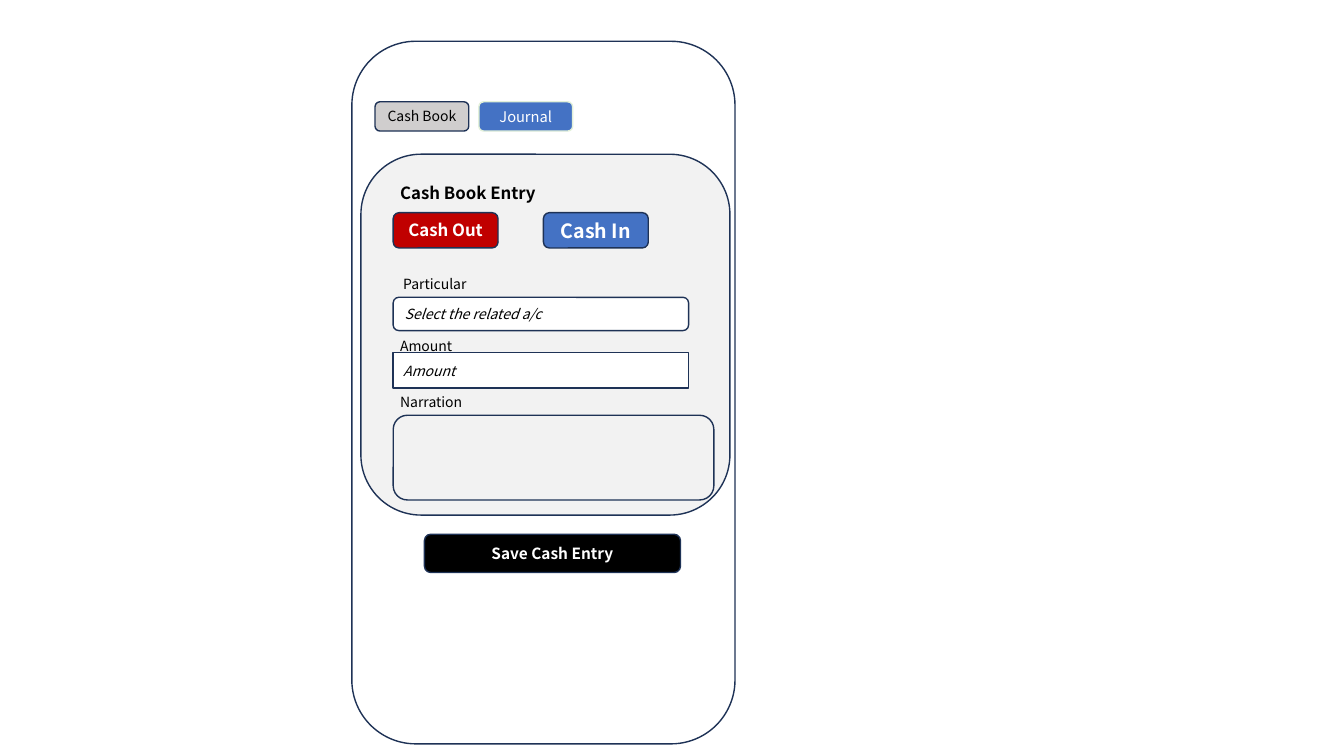
from pptx import Presentation
from pptx.dml.color import RGBColor
from pptx.enum.shapes import MSO_SHAPE as Shape
from pptx.enum.text import MSO_ANCHOR as Anchor, MSO_AUTO_SIZE as AutoSize, PP_ALIGN as Align
from pptx.util import Inches, Pt

NAVY = RGBColor(0x1E, 0x32, 0x56)
BLUE = RGBColor(0x44, 0x72, 0xC4)
RED = RGBColor(0xC0, 0x00, 0x00)
GREY = RGBColor(0xD0, 0xCE, 0xCE)
PALE_GREY = RGBColor(0xF2, 0xF2, 0xF2)
PALE_GREEN = RGBColor(0xE2, 0xF0, 0xD9)
BLACK = RGBColor(0x00, 0x00, 0x00)
WHITE = RGBColor(0xFF, 0xFF, 0xFF)


class Wireframe:
    font_name = "Noto Sans CJK JP"

    def __init__(self, slide):
        self.slide = slide

    def set_text(self, shape, text, size, color=BLACK, bold=False, italic=False, align=Align.LEFT):
        frame = shape.text_frame
        frame.word_wrap = True
        frame.text = text
        paragraph = frame.paragraphs[0]
        paragraph.alignment = align
        font = paragraph.runs[0].font
        font.name = self.font_name
        font.size = Pt(size)
        font.bold = bold
        font.italic = italic
        font.color.rgb = color

    def panel(self, left, top, width, height, fill=None, line=NAVY, kind=Shape.ROUNDED_RECTANGLE):
        shape = self.slide.shapes.add_shape(
            kind, Inches(left), Inches(top), Inches(width), Inches(height))
        shape.shadow.inherit = False
        if fill is None:
            shape.fill.background()
        else:
            shape.fill.solid()
            shape.fill.fore_color.rgb = fill
        shape.line.color.rgb = line
        shape.line.width = Pt(1)
        shape.text_frame.vertical_anchor = Anchor.MIDDLE
        return shape

    def button(self, text, left, top, width, height, fill, size, color=WHITE, bold=True, line=NAVY):
        shape = self.panel(left, top, width, height, fill, line)
        self.set_text(shape, text, size, color, bold, align=Align.CENTER)

    def field(self, text, top, height, kind):
        shape = self.panel(3.9, top, 2.93, height, WHITE, kind=kind)
        self.set_text(shape, text, 10, italic=True)

    def label(self, text, left, top, width=1.49, height=0.27, size=10, bold=False):
        box = self.slide.shapes.add_textbox(
            Inches(left), Inches(top), Inches(width), Inches(height))
        self.set_text(box, text, size, bold=bold)
        box.text_frame.auto_size = AutoSize.SHAPE_TO_FIT_TEXT


def main():
    presentation = Presentation()
    presentation.slide_width = Inches(13.33)
    presentation.slide_height = Inches(7.5)
    screen = Wireframe(presentation.slides.add_slide(presentation.slide_layouts[6]))

    screen.panel(3.49, 0.41, 3.8, 6.97)
    screen.button("Cash Book", 3.72, 1.01, 0.93, 0.29, GREY, 10, BLACK, bold=False)
    screen.button("Journal", 4.75, 1.01, 0.93, 0.29, BLUE, 10.5, bold=False, line=PALE_GREEN)

    screen.panel(3.58, 1.53, 3.66, 3.58, PALE_GREY)
    screen.label("Cash Book Entry", 3.87, 1.76, 1.99, 0.3, size=12, bold=True)
    screen.button("Cash Out", 3.9, 2.11, 1.04, 0.35, RED, 12)
    screen.button("Cash In", 5.39, 2.11, 1.04, 0.35, BLUE, 14)

    screen.label("Particular", 3.9, 2.68)
    screen.field("Select the related a/c", 2.95, 0.33, Shape.ROUNDED_RECTANGLE)
    screen.field("Amount", 3.5, 0.35, Shape.RECTANGLE)
    screen.label("Amount", 3.87, 3.3)
    screen.label("Narration", 3.87, 3.85)
    screen.panel(3.9, 4.12, 3.18, 0.84)

    screen.button("Save Cash Entry", 4.21, 5.3, 2.54, 0.38, BLACK, 11)
    presentation.save("out.pptx")


if __name__ == "__main__":
    main()
